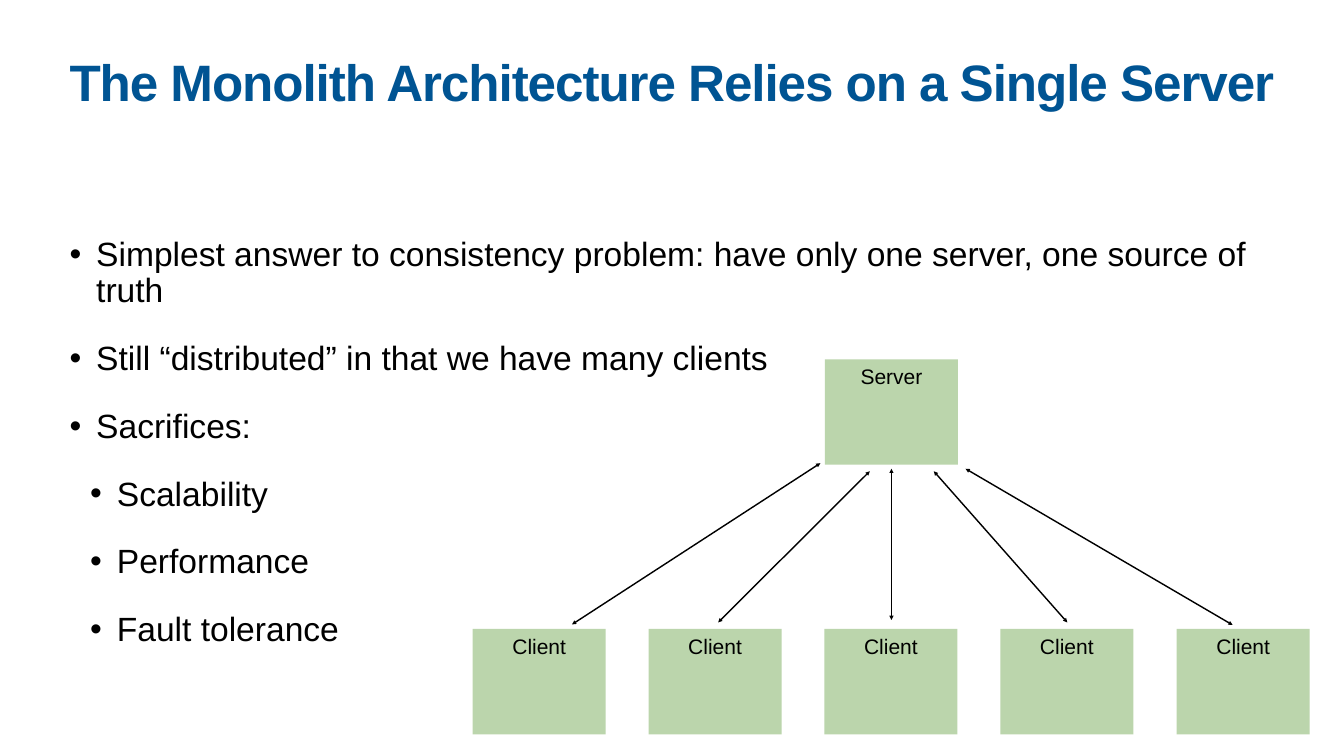
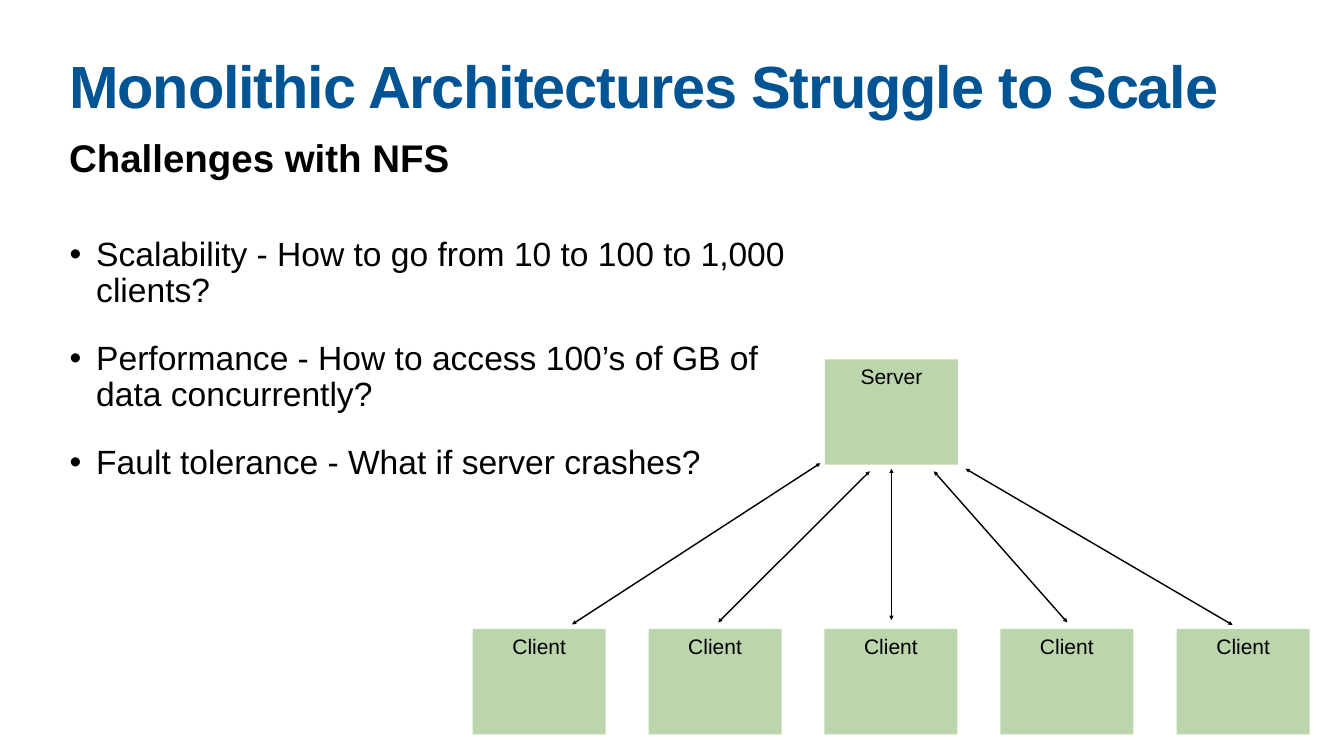
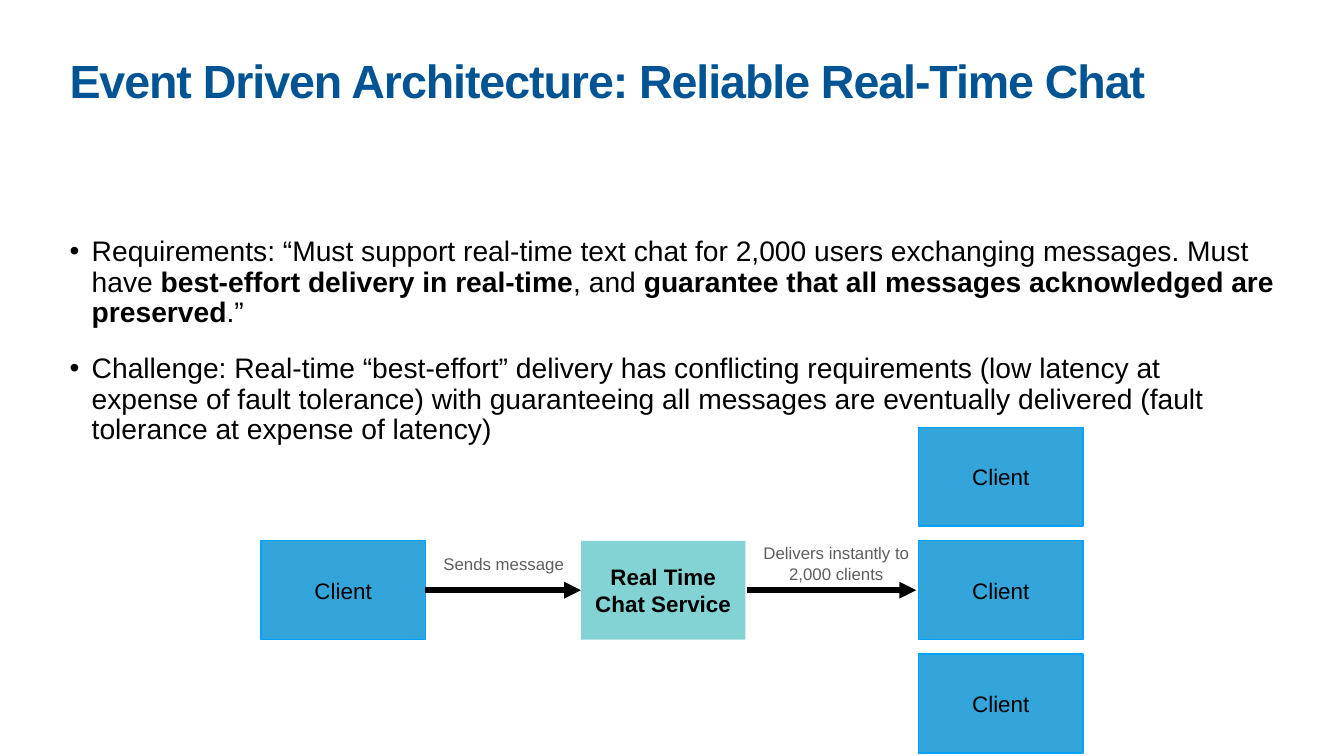
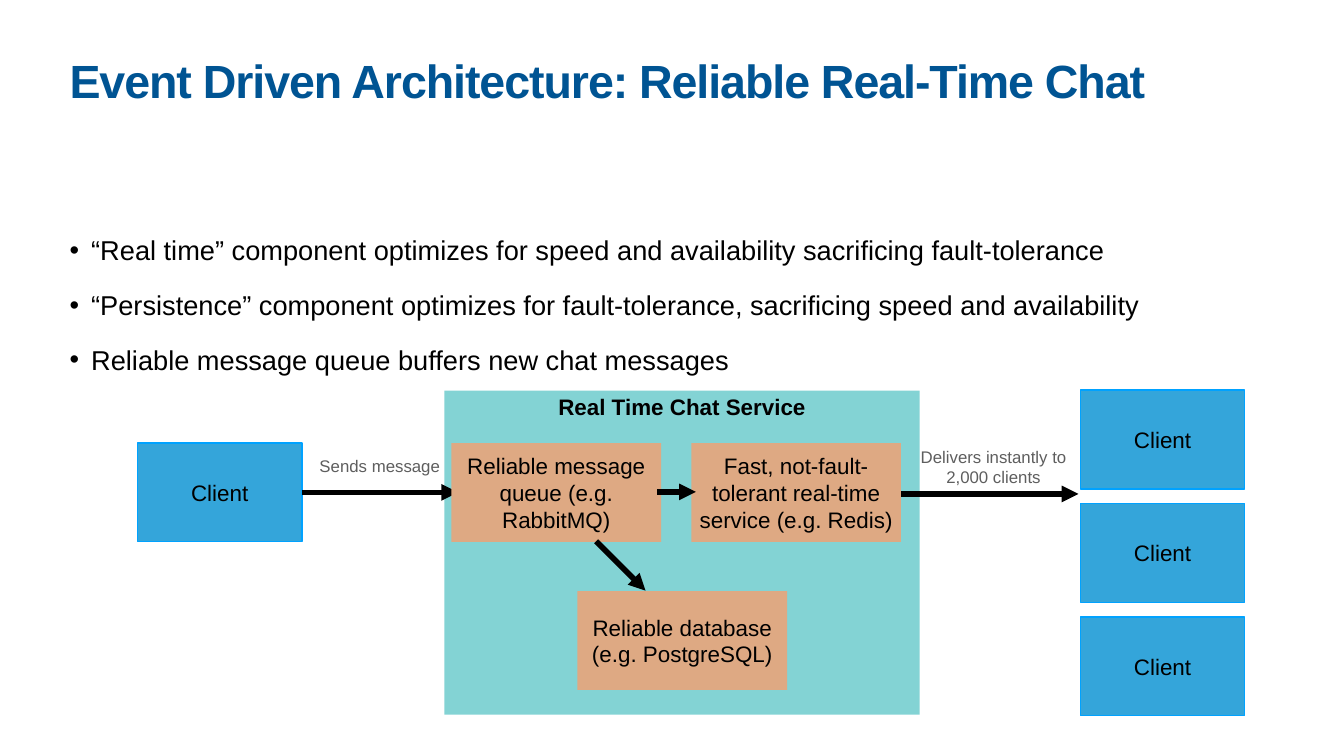
from dataclasses import dataclass

from lxml import etree
from pptx import Presentation
from pptx.dml.color import RGBColor
from pptx.enum.shapes import MSO_CONNECTOR, MSO_SHAPE
from pptx.enum.text import MSO_ANCHOR, PP_ALIGN
from pptx.oxml.ns import qn
from pptx.util import Pt

PX = 9144  # 100 px to the inch
RECT, STRAIGHT = MSO_SHAPE.RECTANGLE, MSO_CONNECTOR.STRAIGHT
TOP, MIDDLE = MSO_ANCHOR.TOP, MSO_ANCHOR.MIDDLE
LEFT, CENTER = PP_ALIGN.LEFT, PP_ALIGN.CENTER


@dataclass(frozen=True)
class Theme:
    font: str = "Arial"
    title: str = "005493"
    ink: str = "000000"
    label: str = "5E5E5E"
    green: str = "BBD5AC"
    blue: str = "34A5DA"
    blue_edge: str = "00A2FF"
    teal: str = "83D3D4"
    orange: str = "DEA983"
    subtitle_size: float = 55
    node_size: float = 32
    small_node_size: float = 30
    label_size: float = 24
    thin: float = 2
    thick: float = 8


T = Theme()


def add_box(s, x, y, w, h, paras, size, color=T.ink, bold=False, fill=None, line=None,
            anchor=MIDDLE, align=CENTER, inset=6, wrap=True):
    """Filled rectangle or plain text box; ** in the text switches bold."""
    at = [v * PX for v in (x, y, w, h)]
    if fill:
        sp = s.shapes.add_shape(RECT, *at)
        sp.shadow.inherit = False
        sp.fill.solid()
        sp.fill.fore_color.rgb = RGBColor.from_string(fill)
        if line:
            sp.line.color.rgb = RGBColor.from_string(line)
            sp.line.width = Pt(T.thin)
        else:
            sp.line.fill.background()
    else:
        sp = s.shapes.add_textbox(*at)
    tf = sp.text_frame
    tf.word_wrap = wrap
    tf.vertical_anchor = anchor
    tf.margin_left = tf.margin_right = tf.margin_top = tf.margin_bottom = inset * PX
    for i, text in enumerate(paras):
        p = tf.add_paragraph() if i else tf.paragraphs[0]
        p.alignment = align
        for j, part in enumerate(text.split("**")):
            r = p.add_run()
            r.text = part
            r.font.name = T.font
            r.font.size = Pt(size)
            r.font.bold = bold or j % 2 == 1
            r.font.color.rgb = RGBColor.from_string(color)
    return sp


def add_arrow(s, x1, y1, x2, y2, width=T.thick, ends=("tailEnd",)):
    cxn = s.shapes.add_connector(STRAIGHT, *[v * PX for v in (x1, y1, x2, y2)])
    cxn.line.color.rgb = RGBColor.from_string(T.ink)
    cxn.line.width = Pt(width)
    for end in ends:
        etree.SubElement(cxn.line._get_or_add_ln(), qn("a:" + end), type="triangle")
    etree.SubElement(cxn._element.spPr, qn("a:effectLst"))
    return cxn


prs = Presentation()
prs.slide_width, prs.slide_height = 2667 * PX, 1500 * PX

# Title, its size and spacing; body width, height, size, space before, indent; (level, bullet)
CHAT_TITLE = "Event Driven Architecture: Reliable Real-Time Chat"
PAGES = [
    ("The Monolith Architecture Relies on a Single Server", 73.1, -150,
     2403, 903, 48, 45, 53, [
         (0, "Simplest answer to consistency problem: have only one server, one source of truth"),
         (0, "Still “distributed” in that we have many clients"),
         (0, "Sacrifices:"),
         (1, "Scalability"),
         (1, "Performance"),
         (1, "Fault tolerance")]),
    ("Monolithic Architectures Struggle to Scale", 85, -170,
     1471, 903, 48, 45, 53, [
         (0, "Scalability - How to go from 10 to 100 to 1,000 clients?"),
         (0, "Performance - How to access 100’s of GB of data concurrently?"),
         (0, "Fault tolerance - What if server crashes?")]),
    (CHAT_TITLE, 66.5, -150, 2403, 433, 40.3, 37, 44, [
        (0, "Requirements: “Must support real-time text chat for 2,000 users exchanging messages. "
            "Must have **best-effort delivery in real-time**, and **guarantee that all messages "
            "acknowledged are preserved**.”"),
        (0, "Challenge: Real-time “best-effort” delivery has conflicting requirements (low latency "
            "at expense of fault tolerance) with guaranteeing all messages are eventually "
            "delivered (fault tolerance at expense of latency)")]),
    (CHAT_TITLE, 66.5, -150, 2403, 290, 38.9, 36, 43, [
        (0, "“Real time” component optimizes for speed and availability sacrificing "
            "fault-tolerance"),
        (0, "“Persistence” component optimizes for fault-tolerance, sacrificing speed and "
            "availability"),
        (0, "Reliable message queue buffers new chat messages")]),
]

# Titles and bullets
slides = []
for title, title_size, spacing, w, h, size, before, indent, bullets in PAGES:
    s = prs.slides.add_slide(prs.slide_layouts[6])
    slides.append(s)
    sp = add_box(s, 132, 118, 2403, 157, [title], title_size, T.title, bold=True,
                 anchor=TOP, align=LEFT)
    p = sp.text_frame.paragraphs[0]
    p.line_spacing = 0.8
    p.runs[0]._r.get_or_add_rPr().set("spc", str(spacing))

    sp = add_box(s, 132, 465, w, h, [text for _, text in bullets], size, anchor=TOP, align=LEFT)
    for i, (p, (level, _)) in enumerate(zip(sp.text_frame.paragraphs, bullets)):
        p.level = level
        p.line_spacing = 0.9
        p.space_before = Pt(before if i else 0)
        pPr = p._p.get_or_add_pPr()
        pPr.set("marL", str((indent + 41 * level) * PX))
        pPr.set("indent", str(-indent * PX))
        etree.SubElement(pPr, qn("a:buFont"), typeface=T.font)
        etree.SubElement(pPr, qn("a:buChar"), char="•")

monolith, scaling, chat, chat_detail = slides

# Subtitle
add_box(scaling, 132, 260, 2403, 102, ["Challenges with NFS"], T.subtitle_size, bold=True,
        anchor=TOP, align=LEFT, inset=5)

# One server, five clients
SPOKES = [(1135, 1239, 1628, 919), (1425, 1235, 1726, 935), (1769, 1230, 1769, 930),
          (2118, 1235, 1853, 935), (2446, 1240, 1916, 930)]
for s in (monolith, scaling):
    nodes = [("Server", 1637, 713)] + [("Client", 938 + 1397 * i // 4, 1248) for i in range(5)]
    for name, x, y in nodes:
        add_box(s, x, y, 264, 209, [name], T.small_node_size, fill=T.green, anchor=TOP, inset=8)
    for spoke in SPOKES:
        add_arrow(s, *spoke, width=T.thin, ends=("headEnd", "tailEnd"))

# Sender, receiving clients and message labels of both chat diagrams
senders = []
for s, sender_x, sender_y, client_x, client_y, sends_at, delivers_at in (
        (chat, 518, 1073, 1823, 848, (874, 1093), (1468, 1072)),
        (chat_detail, 273, 879, 2144, 774, (628, 899), (1780, 880))):
    clients = [(sender_x, sender_y)] + [(client_x, client_y + 225 * i) for i in range(3)]
    boxes = [add_box(s, x, y, 326, 196, ["Client"], T.node_size, fill=T.blue, line=T.blue_edge)
             for x, y in clients]
    senders.append(boxes[0])
    if s is chat_detail:
        add_box(s, 882, 775, 943, 643, ["Real Time Chat Service"], T.node_size, bold=True,
                fill=T.teal, anchor=TOP)
    add_box(s, *sends_at, 251, 50, ["Sends message"], T.label_size, T.label, wrap=False)
    add_box(s, *delivers_at, 383, 91, ["Delivers instantly to 2,000 clients"],
            T.label_size, T.label)

# Chat service as one box
service = add_box(chat, 1153, 1073, 326, 196, ["Real Time Chat Service"], T.node_size,
                  bold=True, fill=T.teal)
cxn = add_arrow(chat, 844, 1171, 1153, 1171)
cxn.begin_connect(senders[0], 3)
cxn.end_connect(service, 1)
add_arrow(chat, 1482, 1171, 1818, 1171)

# Chat service in parts; outer arrows lie behind the parts
cxn = add_arrow(chat_detail, 599, 977, 909, 977)
cxn.begin_connect(senders[1], 3)
add_arrow(chat_detail, 1776, 980, 2140, 980)
for text, x, y in (("Reliable message queue (e.g. RabbitMQ)", 896, 879),
                   ("Fast, not-fault-tolerant real-time service (e.g. Redis)", 1372, 879),
                   ("Reliable database (e.g. PostgreSQL)", 1146, 1173)):
    add_box(chat_detail, x, y, 416, 196, [text], T.node_size, fill=T.orange)
add_arrow(chat_detail, 1183, 1074, 1281, 1172)
add_arrow(chat_detail, 1304, 976, 1381, 976)

prs.save("out.pptx")
